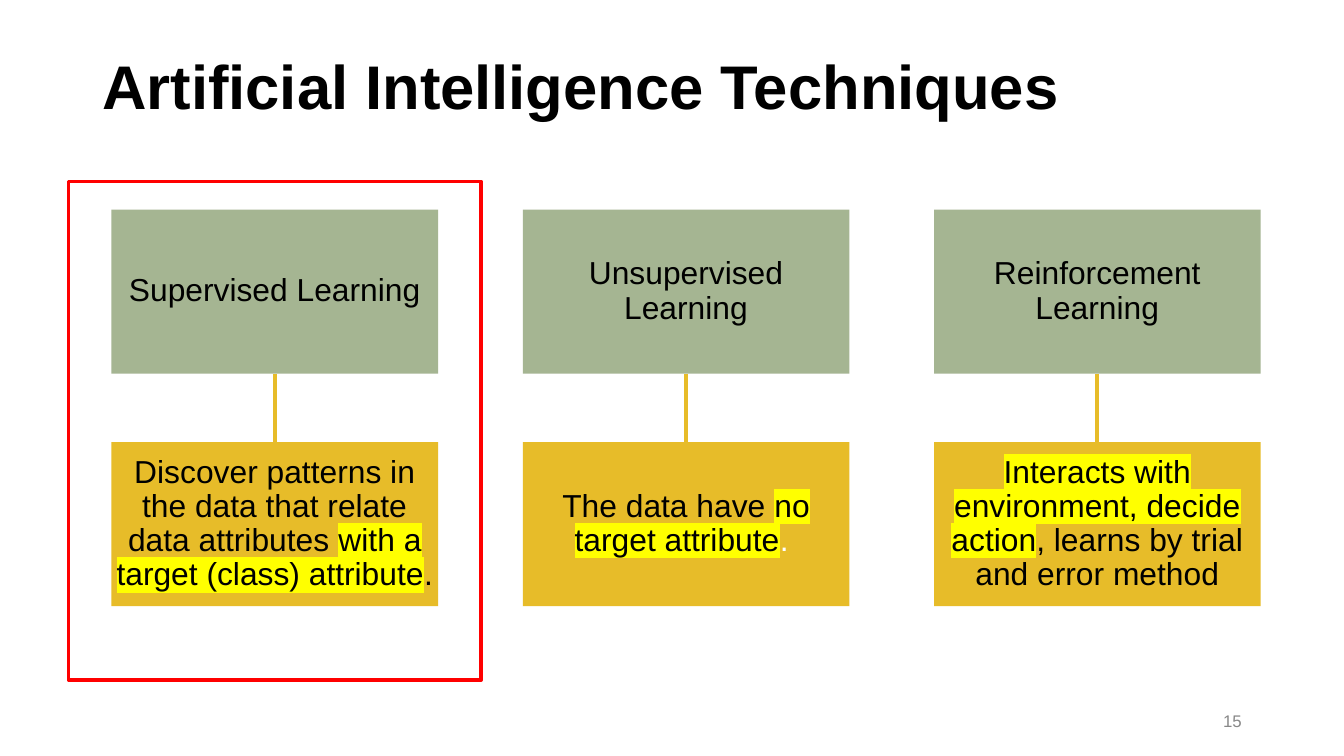
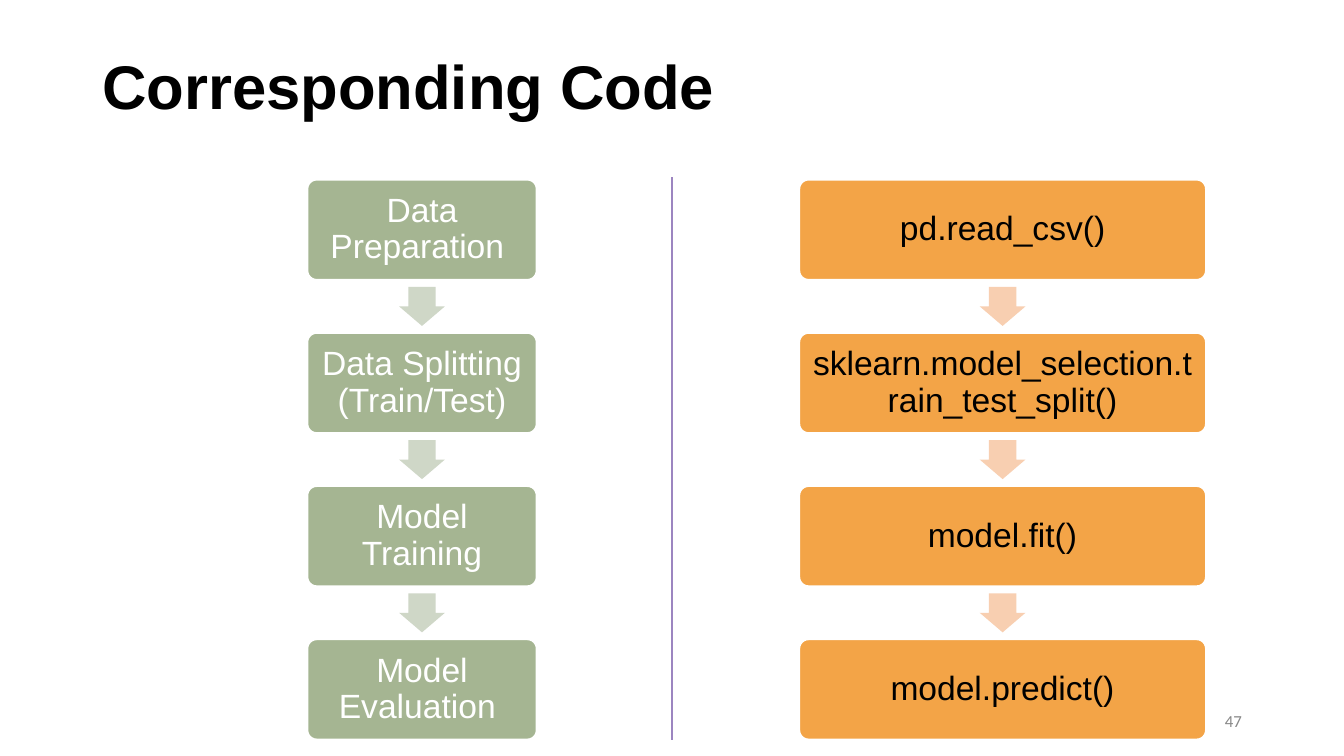
from lxml.etree import SubElement
from pptx import Presentation
from pptx.dml.color import RGBColor
from pptx.enum.shapes import MSO_CONNECTOR, MSO_SHAPE
from pptx.enum.text import MSO_ANCHOR, MSO_AUTO_SIZE, PP_ALIGN
from pptx.oxml import parse_xml
from pptx.oxml.ns import nsdecls, qn
from pptx.util import Inches, Pt

COLORS = {
    "black": "000000",
    "white": "FFFFFF",
    "grey": "888888",
    "green": "A5B592",
    "pale_green": "CFD7C7",
    "gold": "E7BC29",
    "orange": "F3A447",
    "pale_orange": "F8CFB1",
    "purple": "9C85C0",
    "red": "FF0000",
    "yellow": "FFFF00",
}
FONT = "Arial"
TITLE_ONLY = 5
SLIDE_WIDTH = 10

# Each technique: name, then its description as (text, color, highlighted) runs
TECHNIQUES = [
    ("Supervised Learning", [
        ("Discover patterns in the data that relate data attributes ", "black", False),
        ("with a target (class) attribute", "black", True),
        (". ", "black", False),
    ]),
    ("Unsupervised Learning", [
        ("The data have ", "black", False),
        ("no target attribute", "black", True),
        (". ", "white", False),
    ]),
    ("Reinforcement Learning", [
        ("Interacts with environment, decide action", "black", True),
        (", learns by trial and error method", "black", False),
    ]),
]
STEPS = [
    "Data Preparation ",
    "Data Splitting (Train/Test)",
    "Model Training",
    "Model Evaluation ",
]
CALLS = [
    "pd.read_csv()",
    "sklearn.model_selection.train_test_split()",
    "model.fit()",
    "model.predict()",
]


def rgb(name):
    return RGBColor.from_string(COLORS[name])


def style_font(font, size, color, bold=False, name=FONT):
    font.name = name
    font.size = Pt(size)
    font.bold = bold
    font.color.rgb = rgb(color)


def set_frame(text_frame, inset_x, inset_y):
    text_frame.word_wrap = True
    text_frame.auto_size = MSO_AUTO_SIZE.NONE
    text_frame.vertical_anchor = MSO_ANCHOR.MIDDLE
    text_frame.margin_left = text_frame.margin_right = Inches(inset_x)
    text_frame.margin_top = text_frame.margin_bottom = Inches(inset_y)


def highlight(run):
    marker = parse_xml(
        f'<a:highlight {nsdecls("a")}><a:srgbClr val="{COLORS["yellow"]}"/></a:highlight>')
    run.font._element.find(qn("a:solidFill")).addnext(marker)


def add_title_slide(presentation, title, number, title_width=8.12, number_font=FONT):
    """Add a slide with its title and page number."""
    slide = presentation.slides.add_slide(presentation.slide_layouts[TITLE_ONLY])
    shape = slide.shapes.title
    shape.left, shape.top = Inches(0.69), Inches(0.24)
    shape.width, shape.height = Inches(title_width), Inches(0.85)
    shape.text_frame.text = title
    set_frame(shape.text_frame, 0.07, 0.04)
    paragraph = shape.text_frame.paragraphs[0]
    paragraph.alignment = PP_ALIGN.LEFT
    paragraph.line_spacing = 0.9
    style_font(paragraph.runs[0].font, 33, "black", bold=True)

    box = slide.shapes.add_textbox(Inches(7.06), Inches(5.21), Inches(2.25), Inches(0.3))
    box.text_frame.text = str(number)
    set_frame(box.text_frame, 0.07, 0.04)
    paragraph = box.text_frame.paragraphs[0]
    paragraph.alignment = PP_ALIGN.RIGHT
    style_font(paragraph.runs[0].font, 9, "grey", name=number_font)
    return slide


def add_box(slide, kind, left, top, width, height, fill=None, line=None):
    shape = slide.shapes.add_shape(
        kind, Inches(left), Inches(top), Inches(width), Inches(height))
    shape.shadow.inherit = False
    if fill:
        shape.fill.solid()
        shape.fill.fore_color.rgb = rgb(fill)
    else:
        shape.fill.background()
    if line:
        shape.line.color.rgb = rgb(line)
        shape.line.width = Pt(2)
    else:
        shape.line.fill.background()
    return shape


def write_runs(shape, runs, size, inset):
    """Fill a shape with one centred paragraph of (text, color, highlighted) runs."""
    set_frame(shape.text_frame, inset, inset)
    paragraph = shape.text_frame.paragraphs[0]
    paragraph.alignment = PP_ALIGN.CENTER
    paragraph.line_spacing = 0.9
    for text, color, highlighted in runs:
        run = paragraph.add_run()
        run.text = text
        style_font(run.font, size, color)
        if highlighted:
            highlight(run)


def add_line(slide, x, top, bottom, color, width):
    """Add a vertical line."""
    line = slide.shapes.add_connector(
        MSO_CONNECTOR.STRAIGHT, Inches(x), Inches(top), Inches(x), Inches(bottom))
    line.line.color.rgb = rgb(color)
    line.line.width = Pt(width)
    SubElement(line._element.spPr, qn("a:effectLst"))


def add_technique(slide, left, name, description):
    width, height, name_top, description_top = 2.43, 1.22, 1.56, 3.29
    add_line(slide, left + width / 2, name_top + height, description_top, "gold", 2)
    for top, fill, runs in [
        (name_top, "green", [(name, "black", False)]),
        (description_top, "gold", description),
    ]:
        box = add_box(slide, MSO_SHAPE.RECTANGLE, left, top, width, height, fill)
        write_runs(box, runs, 17, 0.01)


def add_flow(slide, left, width, labels, fill, arrow_fill, text_color):
    """Add a column of rounded boxes joined by block arrows."""
    top, last_top, height = 1.33, 4.75, 0.76
    pitch = (last_top - top) / (len(labels) - 1)
    arrow_length, arrow_breadth = 0.29, 0.34
    arrow_left = left + (width - arrow_length) / 2
    arrow_offset = (height + pitch - arrow_breadth) / 2
    for index, label in enumerate(labels):
        box_top = top + index * pitch
        box = add_box(slide, MSO_SHAPE.ROUNDED_RECTANGLE, left, box_top, width, height,
                      fill, "white")
        box.adjustments[0] = 0.1
        write_runs(box, [(label, text_color, False)], 18, 0.07)
        if index < len(labels) - 1:
            arrow = add_box(slide, MSO_SHAPE.RIGHT_ARROW, arrow_left, box_top + arrow_offset,
                            arrow_length, arrow_breadth, arrow_fill)
            arrow.rotation = 90
            arrow.adjustments[0] = 0.6
            arrow.adjustments[1] = 0.5


def build_techniques(presentation):
    slide = add_title_slide(presentation, "Artificial Intelligence Techniques", 15,
                            title_width=8.85)
    for index, (name, description) in enumerate(TECHNIQUES):
        add_technique(slide, 0.83 + index * 3.06, name, description)
    add_box(slide, MSO_SHAPE.RECTANGLE, 0.51, 1.35, 3.07, 3.71, line="red")


def build_code(presentation):
    slide = add_title_slide(presentation, "Corresponding Code", 47, number_font="Calibri")
    add_flow(slide, 2.28, 1.72, STEPS, "green", "pale_green", "white")
    add_flow(slide, 5.94, 3.04, CALLS, "orange", "pale_orange", "black")
    add_line(slide, 5, 1.32, 5.51, "purple", 0.75)


def main():
    presentation = Presentation()
    presentation.slide_width = Inches(SLIDE_WIDTH)
    presentation.slide_height = Inches(SLIDE_WIDTH * 9 / 16)
    build_techniques(presentation)
    build_code(presentation)
    presentation.save("out.pptx")


if __name__ == "__main__":
    main()
